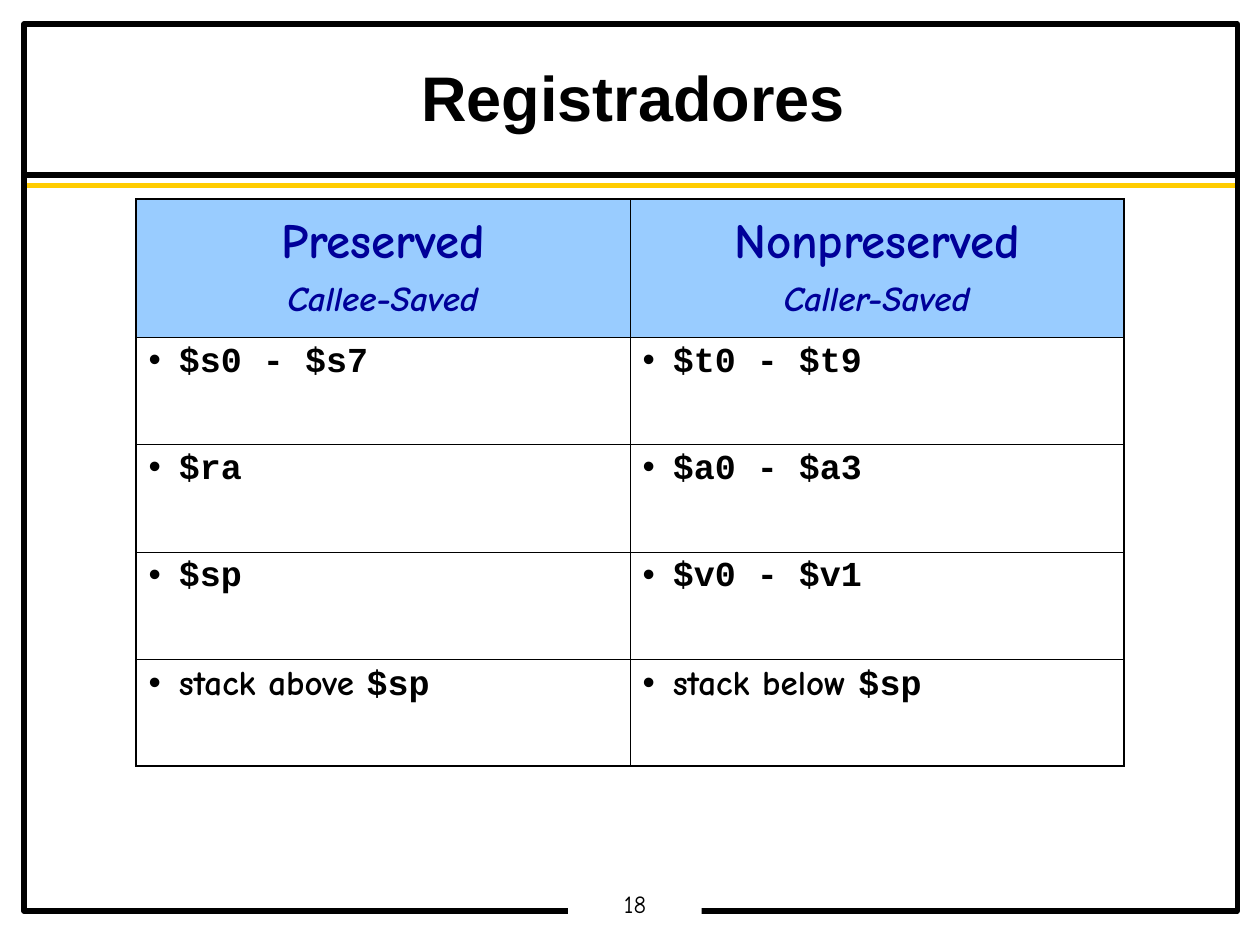
from typing import NamedTuple

from lxml.etree import SubElement
from pptx import Presentation
from pptx.dml.color import RGBColor
from pptx.enum.shapes import MSO_CONNECTOR, MSO_SHAPE
from pptx.enum.text import MSO_ANCHOR, PP_ALIGN
from pptx.oxml import parse_xml
from pptx.oxml.ns import nsdecls, qn
from pptx.util import Inches, Pt

COMIC, MONO, SANS = "Comic Neue", "Courier New", "Arial"
BLACK, WHITE, YELLOW = "000000", "FFFFFF", "FFCC00"
NAVY, SKY = "000099", "99CCFF"
THIN, THICK = 0.45, 1.08


class Span(NamedTuple):
    text: str
    font: str = MONO
    size: float = 20
    color: str = BLACK
    bold: bool = True
    italic: bool = False


class Rule(NamedTuple):
    y: float
    color: str


RULES = [Rule(1.39, BLACK), Rule(1.47, YELLOW)]
HEADERS = [("Preserved", "Callee-Saved"), ("Nonpreserved", "Caller-Saved")]
ROWS = [
    ([Span("$s0 - $s7")], [Span("$t0 - $t9")]),
    ([Span("$ra")], [Span("$a0 - $a3")]),
    ([Span("$sp")], [Span("$v0 - $v1")]),
    ([Span("stack above ", COMIC), Span("$sp")],
     [Span("stack below ", COMIC), Span("$sp")]),
]


def rgb(value: str) -> RGBColor:
    return RGBColor.from_string(value)


def add_spans(p, spans: list[Span], spacing: float = 0.9) -> None:
    p.line_spacing = spacing
    for span in spans:
        r = p.add_run()
        r.text = span.text
        font = r.font
        font.name, font.size = span.font, Pt(span.size)
        font.bold, font.italic = span.bold, span.italic
        font.color.rgb = rgb(span.color)


def add_bullet(p) -> None:
    """Give the paragraph a black bullet and a hanging indent."""
    pPr = p._p.get_or_add_pPr()
    pPr.set("marL", str(Inches(0.24)))
    pPr.set("indent", str(-Inches(0.24)))
    color = SubElement(pPr, qn("a:buClr"))
    SubElement(color, qn("a:srgbClr"), val=BLACK)
    SubElement(pPr, qn("a:buFont"), typeface=SANS)
    SubElement(pPr, qn("a:buChar"), char="•")


def set_borders(cell, row: int, col: int, last_row: int, last_col: int) -> None:
    """Draw thick lines on the outside of the table and thin ones inside."""
    outer = {"L": col == 0, "R": col == last_col,
             "T": row == 0, "B": row == last_row}
    tcPr = cell._tc.get_or_add_tcPr()
    for i, (side, is_outer) in enumerate(outer.items()):
        width = Pt(THICK if is_outer else THIN)
        tcPr.insert(i, parse_xml(
            f'<a:ln{side} {nsdecls("a")} w="{width}"><a:solidFill>'
            f'<a:srgbClr val="{BLACK}"/></a:solidFill></a:ln{side}>'))


def add_rule(slide, rule: Rule) -> None:
    line = slide.shapes.add_connector(
        MSO_CONNECTOR.STRAIGHT, Inches(0.2), Inches(rule.y),
        Inches(9.84), Inches(rule.y))
    line.line.color.rgb = rgb(rule.color)
    line.line.width = Pt(3)
    SubElement(line._element.spPr, qn("a:effectLst"))


def add_box(slide, x: float, y: float, w: float, h: float):
    sp = slide.shapes.add_shape(
        MSO_SHAPE.RECTANGLE, Inches(x), Inches(y), Inches(w), Inches(h))
    sp.shadow.inherit = False
    return sp


def add_frame(slide) -> None:
    frame = add_box(slide, 0.19, 0.19, 9.63, 7.04)
    frame.fill.background()
    frame.line.color.rgb = rgb(BLACK)
    frame.line.width = Pt(3)


def add_page_number(slide, number: int) -> None:
    sp = add_box(slide, 4.51, 7.05, 1.06, 0.27)
    sp.fill.solid()
    sp.fill.fore_color.rgb = rgb(WHITE)
    sp.line.fill.background()
    tf = sp.text_frame
    tf.margin_left = tf.margin_right = Inches(0.07)
    tf.margin_top = tf.margin_bottom = Inches(0.03)
    p = tf.paragraphs[0]
    p.alignment = PP_ALIGN.CENTER
    add_spans(p, [Span(str(number), COMIC, 14, bold=False)])


def set_title(slide, text: str) -> None:
    title = slide.shapes.title
    title.left, title.top = Inches(0.2), Inches(0.2)
    title.width, title.height = Inches(9.65), Inches(1.18)
    tf = title.text_frame
    tf.vertical_anchor = MSO_ANCHOR.MIDDLE
    p = tf.paragraphs[0]
    p.alignment = PP_ALIGN.CENTER
    add_spans(p, [Span(text, SANS, 36)], 0.95)


def fill_header(cell, name: str, role: str) -> None:
    cell.fill.solid()
    cell.fill.fore_color.rgb = rgb(SKY)
    cell.vertical_anchor = MSO_ANCHOR.MIDDLE
    tf = cell.text_frame
    first, second = tf.paragraphs[0], tf.add_paragraph()
    first.alignment = second.alignment = PP_ALIGN.CENTER
    second.space_before = Pt(7.5)
    add_spans(first, [Span(name, COMIC, 28, NAVY)])
    add_spans(second, [Span(role, COMIC, 20, NAVY, italic=True)])


def fill_item(cell, spans: list[Span]) -> None:
    cell.fill.background()
    p = cell.text_frame.paragraphs[0]
    add_bullet(p)
    add_spans(p, spans)


def add_register_table(slide) -> None:
    last_row, last_col = len(ROWS), len(HEADERS) - 1
    table = slide.shapes.add_table(
        last_row + 1, last_col + 1, Inches(1.08), Inches(1.58),
        Inches(7.84), Inches(4.5)).table
    table.first_row = table.horz_banding = False
    for row in table.rows:
        row.height = Inches(0.85)
    table.rows[0].height = Inches(1.1)

    for col, header in enumerate(HEADERS):
        fill_header(table.cell(0, col), *header)
    for row, items in enumerate(ROWS, start=1):
        for col, spans in enumerate(items):
            fill_item(table.cell(row, col), spans)
    for row in range(last_row + 1):
        for col in range(last_col + 1):
            set_borders(table.cell(row, col), row, col, last_row, last_col)


def main() -> None:
    prs = Presentation()
    prs.slide_width, prs.slide_height = Inches(10), Inches(7.5)
    slide = prs.slides.add_slide(prs.slide_layouts[5])
    for rule in RULES:
        add_rule(slide, rule)
    add_frame(slide)
    add_page_number(slide, 18)
    add_register_table(slide)
    set_title(slide, "Registradores")
    prs.save("out.pptx")


if __name__ == "__main__":
    main()
